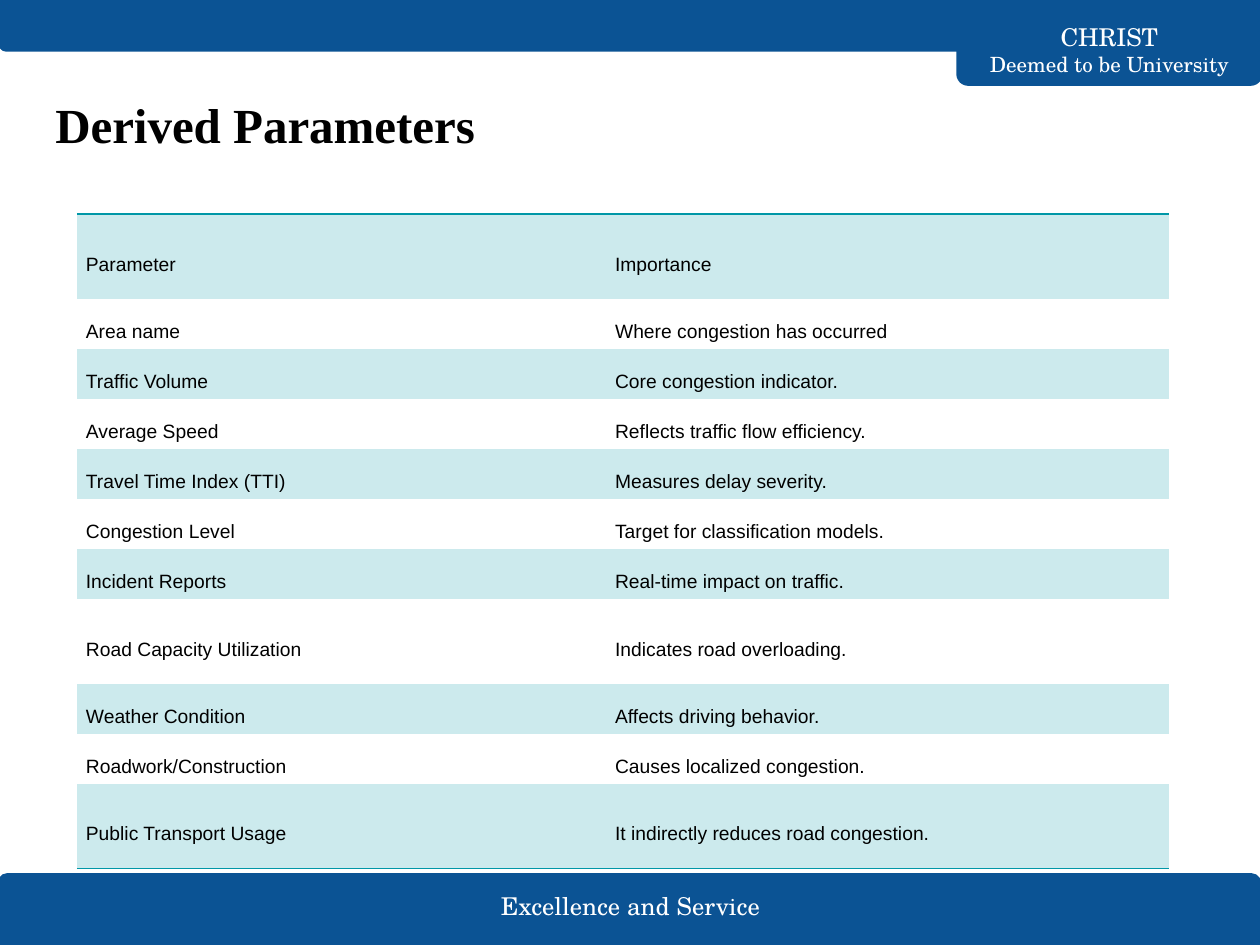
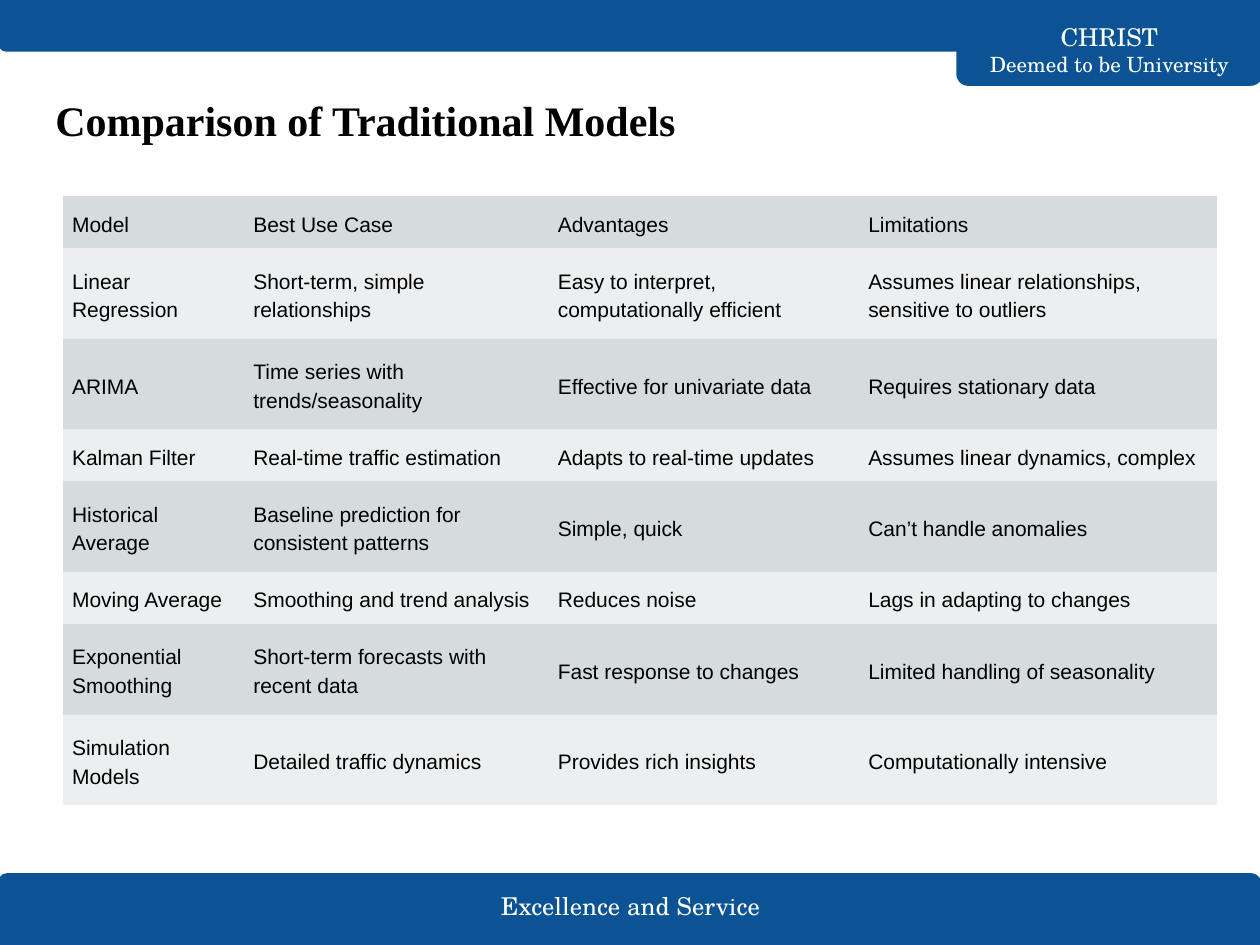
import pptx
import pptx.dml.color
import pptx.enum.shapes
import pptx.enum.text
import pptx.oxml
import pptx.oxml.ns
import pptx.util

Pt = pptx.util.Pt
RGBColor = pptx.dml.color.RGBColor
Align = pptx.enum.text.PP_ALIGN
Anchor = pptx.enum.text.MSO_ANCHOR

NAVY = RGBColor(0x0B, 0x53, 0x94)
WHITE = RGBColor(0xFF, 0xFF, 0xFF)
BLACK = RGBColor(0x00, 0x00, 0x00)
TEAL = RGBColor(0x00, 0x97, 0xA7)
PALE_TEAL = RGBColor(0xCC, 0xEA, 0xED)
GREY = RGBColor(0xD6, 0xDB, 0xDE)
PALE_GREY = RGBColor(0xEC, 0xEE, 0xEF)

BAND_FONT, TITLE_FONT, TABLE_FONT = "TeX Gyre Schola", "Times New Roman", "Arial"
NO_STYLE = "{2D5ABB26-0587-4C30-8999-92F81FD0307C}"

# left, top, width, height, rotation
BANDS = [
    (-0.7, 499.7, 720.7, 40.3, 0),
    (547.2, 0, 173.5, 48.3, 180),
    (0, 0, 720.7, 28.8, 180),
]
BAND_TEXTS = [
    ("Excellence and Service", (263.5, 506.2, 193.7, 23), [14]),
    ("CHRIST\vDeemed to be University", (547.2, 19.4, 173.5, 18), [14, 12]),
]

SLIDES = [
    {
        "title": "Derived Parameters", "title_size": 28, "title_height": 64,
        "left": 43.9, "top": 122.4, "columns": [302.4, 321.8],
        "row_height": 28.6, "tall_height": 48.3, "tall_rows": {0, 7, 10},
        "text_size": 11, "line_spacing": 21.4,
        "fills": (PALE_TEAL, None), "rule": TEAL,
        "rows": [
            ("Parameter", "Importance"),
            ("Area name", "Where congestion has occurred"),
            ("Traffic Volume", "Core congestion indicator."),
            ("Average Speed", "Reflects traffic flow efficiency."),
            ("Travel Time Index (TTI)", "Measures delay severity."),
            ("Congestion Level", "Target for classification models."),
            ("Incident Reports", "Real-time impact on traffic."),
            ("Road Capacity Utilization", "Indicates road overloading."),
            ("Weather Condition", "Affects driving behavior."),
            ("Roadwork/Construction", "Causes localized congestion."),
            ("Public Transport Usage", "It indirectly reduces road congestion."),
        ],
    },
    {
        "title": "Comparison of Traditional Models", "title_size": 24, "title_height": 43.2,
        "left": 36, "top": 112.1, "columns": [103.6, 174, 177.4, 204.4],
        "row_height": 29.7, "tall_height": 51.8, "tall_rows": {1, 2, 4, 6, 7},
        "text_size": 12, "line_spacing": 16.4,
        "fills": (GREY, PALE_GREY), "rule": None,
        "rows": [
            ("Model", "Best Use Case", "Advantages", "Limitations"),
            ("Linear Regression", "Short-term, simple relationships",
             "Easy to interpret, computationally efficient",
             "Assumes linear relationships, sensitive to outliers"),
            ("ARIMA", "Time series with trends/seasonality",
             "Effective for univariate data", "Requires stationary data"),
            ("Kalman Filter", "Real-time traffic estimation",
             "Adapts to real-time updates", "Assumes linear dynamics, complex"),
            ("Historical Average", "Baseline prediction for consistent patterns",
             "Simple, quick", "Can’t handle anomalies"),
            ("Moving Average", "Smoothing and trend analysis",
             "Reduces noise", "Lags in adapting to changes"),
            ("Exponential Smoothing", "Short-term forecasts with recent data",
             "Fast response to changes", "Limited handling of seasonality"),
            ("Simulation Models", "Detailed traffic dynamics",
             "Provides rich insights", "Computationally intensive"),
        ],
    },
]


def style_font(font, name, size, color, bold=False):
    font.name, font.size, font.bold = name, Pt(size), bold
    font.color.rgb = color


def add_text(page, text, place, anchor, align):
    """Add a wrapped one-paragraph text box and return its runs."""
    frame = page.shapes.add_textbox(*map(Pt, place)).text_frame
    frame.word_wrap = True
    frame.vertical_anchor = anchor
    frame.margin_left = frame.margin_right = Pt(7.2)
    frame.margin_top = frame.margin_bottom = Pt(7.2)
    para = frame.paragraphs[0]
    para.text = text
    para.alignment = align
    return para.runs


def add_bands(page):
    for *place, rotation in BANDS:
        band = page.shapes.add_shape(
            pptx.enum.shapes.MSO_SHAPE.ROUND_2_SAME_RECTANGLE, *map(Pt, place))
        band.adjustments[0], band.adjustments[1] = 0.125, 0
        band.rotation = rotation
        band.shadow.inherit = False
        band.fill.solid()
        band.fill.fore_color.rgb = NAVY
        band.line.color.rgb = NAVY
        band.line.width = Pt(1.5)
    for text, place, sizes in BAND_TEXTS:
        spans = add_text(page, text, place, Anchor.MIDDLE, Align.CENTER)
        for span, size in zip(spans, sizes):
            style_font(span.font, BAND_FONT, size, WHITE)


def add_title(page, content):
    place = (24.5, 46.8, 671, content["title_height"])
    for span in add_text(page, content["title"], place, Anchor.TOP, Align.LEFT):
        style_font(span.font, TITLE_FONT, content["title_size"], BLACK, bold=True)


def add_rule(cell, side, color):
    """Draw a 1 pt border on one side ("T" or "B") of a cell."""
    namespace = pptx.oxml.ns.nsdecls("a")
    border = pptx.oxml.parse_xml(
        f'<a:ln{side} {namespace} w="{Pt(1)}"><a:solidFill>'
        f'<a:srgbClr val="{color}"/></a:solidFill></a:ln{side}>')
    cell._tc.get_or_add_tcPr().insert(0, border)


def fill_cell(cell, text, content, fill):
    cell.vertical_anchor = Anchor.MIDDLE
    cell.margin_left = cell.margin_right = Pt(5.2)
    cell.margin_top = cell.margin_bottom = Pt(3.6)
    if fill is None:
        cell.fill.background()
    else:
        cell.fill.solid()
        cell.fill.fore_color.rgb = fill
    para = cell.text_frame.paragraphs[0]
    para.text = text
    para.line_spacing = Pt(content["line_spacing"])
    style_font(para.runs[0].font, TABLE_FONT, content["text_size"], BLACK)


def add_data_table(page, content):
    rows, columns = content["rows"], content["columns"]
    heights = [content["tall_height" if index in content["tall_rows"] else "row_height"]
               for index in range(len(rows))]
    place = (content["left"], content["top"], sum(columns), sum(heights))
    table = page.shapes.add_table(len(rows), len(columns), *map(Pt, place)).table
    table.first_row = table.horz_banding = False
    table._tbl.tblPr.find(pptx.oxml.ns.qn("a:tableStyleId")).text = NO_STYLE
    for column, width in zip(table.columns, columns):
        column.width = Pt(width)
    for index, (row, height, texts) in enumerate(zip(table.rows, heights, rows)):
        row.height = Pt(height)
        for cell, text in zip(row.cells, texts):
            fill_cell(cell, text, content, content["fills"][index % 2])
    if content["rule"] is not None:
        for index, side in ((0, "T"), (len(rows) - 1, "B")):
            for cell in table.rows[index].cells:
                add_rule(cell, side, content["rule"])


def main():
    deck = pptx.Presentation()
    deck.slide_width, deck.slide_height = Pt(720), Pt(540)
    for content in SLIDES:
        page = deck.slides.add_slide(deck.slide_layouts[6])
        add_bands(page)
        add_title(page, content)
        add_data_table(page, content)
    deck.save("out.pptx")


if __name__ == "__main__":
    main()
